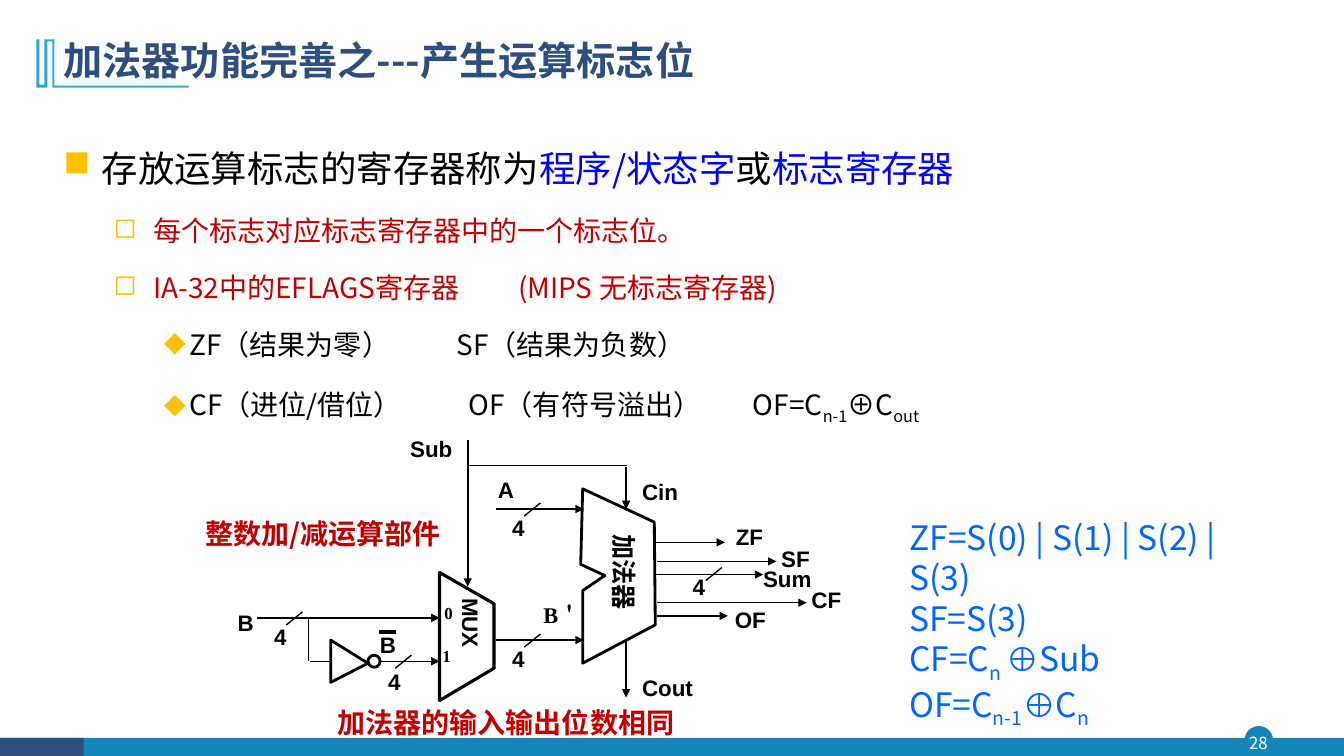
import pptx
import pptx.util
import pptx.oxml
import pptx.oxml.ns
from pptx.dml.color import RGBColor
from pptx.enum.shapes import MSO_CONNECTOR, MSO_SHAPE
from pptx.enum.text import MSO_ANCHOR, MSO_AUTO_SIZE, PP_ALIGN

BLACK = RGBColor(0x00, 0x00, 0x00)
WHITE = RGBColor(0xFF, 0xFF, 0xFF)
NAVY = RGBColor(0x2E, 0x4E, 0x7E)
TEAL = RGBColor(0x13, 0x87, 0xB7)
SKY = RGBColor(0x28, 0xA9, 0xD6)
RED = RGBColor(0xC0, 0x00, 0x00)
BLUE = RGBColor(0x00, 0x00, 0xFF)
FORMULA_BLUE = RGBColor(0x00, 0x66, 0xFF)
BULLET_COLOR = "FFC000"
CJK, SANS, SERIF = "Noto Sans CJK SC", "Arial", "Times New Roman"


def length(inches):
    return pptx.util.Cm(inches * 2.54)


def add_xml(parent, tag, **attributes):
    child = pptx.oxml.parse_xml(f'<a:{tag} {pptx.oxml.ns.nsdecls("a")}/>')
    for key, value in attributes.items():
        child.set(key, str(value))
    parent.append(child)
    return child


class Page:
    """Style and drawing methods for one slide; coordinates are in inches."""

    def __init__(self, slide):
        self.slide = slide
        self.shapes = slide.shapes

    def run(self, paragraph, text, size, color, font=CJK, bold=False, sub=False):
        run = paragraph.add_run()
        run.text = text
        run.font.size = pptx.util.Pt(size)
        run.font.bold = bold
        run.font.name = font
        run.font.color.rgb = color
        properties = run.font._element
        add_xml(properties, "ea", typeface=CJK if font == SANS else font)
        if sub:
            properties.set("baseline", "-25000")

    def place(self, shape, box):
        shape.left, shape.top, shape.width, shape.height = map(length, box)

    def title(self, text, box):
        title = self.shapes.title
        self.place(title, box)
        frame = title.text_frame
        frame.auto_size = MSO_AUTO_SIZE.NONE
        frame.vertical_anchor = MSO_ANCHOR.MIDDLE
        paragraph = frame.paragraphs[0]
        paragraph.alignment = PP_ALIGN.LEFT
        paragraph.line_spacing = 0.9
        self.run(paragraph, text, 28, NAVY, bold=True)

    def text_frame(self, box, wrap=True, rotation=0):
        holder = self.shapes.add_textbox(*map(length, box))
        holder.rotation = rotation
        holder.text_frame.word_wrap = wrap
        if not wrap:
            holder.text_frame.auto_size = MSO_AUTO_SIZE.SHAPE_TO_FIT_TEXT
        return holder.text_frame

    def label(self, text, box, size=16, color=BLACK, font=SANS, wrap=False, rotation=0):
        paragraph = self.text_frame(box, wrap, rotation).paragraphs[0]
        self.run(paragraph, text, size, color, font, bold=True)
        return paragraph

    def bullet(self, paragraph, level, mark, indent, hanging, tabs=()):
        paragraph.level = level
        properties = paragraph._p.get_or_add_pPr()
        properties.set("marL", str(length(indent)))
        properties.set("indent", str(-length(hanging)))
        add_xml(add_xml(properties, "buClr"), "srgbClr", val=BULLET_COLOR)
        add_xml(properties, "buChar", char=mark)
        if tabs:
            stops = add_xml(properties, "tabLst")
            for stop in tabs:
                add_xml(stops, "tab", pos=length(stop), algn="l")
        paragraph.alignment = PP_ALIGN.JUSTIFY
        paragraph.line_spacing = 1.5

    def paint(self, shape, fill=None, line=None, width=1):
        shape.shadow.inherit = False
        if fill is None:
            shape.fill.background()
        else:
            shape.fill.solid()
            shape.fill.fore_color.rgb = fill
        if line is None:
            shape.line.fill.background()
        else:
            shape.line.color.rgb = line
            shape.line.width = pptx.util.Pt(width)

    def preset(self, kind, box, **paint):
        self.paint(self.shapes.add_shape(kind, *map(length, box)), **paint)

    def outline(self, points, **paint):
        start, *rest = [(length(x), length(y)) for x, y in points]
        builder = self.shapes.build_freeform(*start)
        builder.add_line_segments(rest, close=True)
        self.paint(builder.convert_to_shape(), **paint)

    def line(self, x1, y1, x2, y2, arrow=False, width=1):
        wire = self.shapes.add_connector(
            MSO_CONNECTOR.STRAIGHT, *map(length, (x1, y1, x2, y2)))
        wire.line.color.rgb = BLACK
        wire.line.width = pptx.util.Pt(width)
        if arrow:
            add_xml(wire.line._get_or_add_ln(), "tailEnd", type="triangle")
        add_xml(wire._element.spPr, "effectLst")


def draw_frame(page):
    page.preset(MSO_SHAPE.OVAL, (12.35, 7.21, 0.27, 0.27), fill=TEAL, line=TEAL)
    page.preset(MSO_SHAPE.RECTANGLE, (0.01, 7.32, 13.32, 0.19), fill=TEAL)
    page.preset(MSO_SHAPE.RECTANGLE, (0, 7.32, 0.83, 0.19), fill=NAVY)
    number = page.text_frame((12.32, 7.21, 0.32, 0.31))
    number.margin_left = number.margin_right = number.margin_top = number.margin_bottom = 0
    number.vertical_anchor = MSO_ANCHOR.MIDDLE
    number.paragraphs[0].alignment = PP_ALIGN.CENTER
    page.run(number.paragraphs[0], "28", 12, WHITE)
    page.outline([(0.54, 0.39), (0.54, 0.85), (1.87, 0.85), (1.87, 0.87), (0.52, 0.87),
                  (0.52, 0.41), (0.47, 0.41), (0.47, 0.87), (0.36, 0.87), (0.36, 0.39),
                  (0.39, 0.39), (0.39, 0.84), (0.44, 0.84), (0.44, 0.39)], fill=SKY)
    page.title("加法器功能完善之---产生运算标志位", (0.53, 0.28, 11.5, 0.68))


def draw_points(page):
    top, flag, detail = (0, "■", 0.38, 0.38), (1, "◻", 0.89, 0.39), (2, "◆", 1.25, 0.25)
    points = [
        (top, (), 26, [("存放运算标志的寄存器称为", BLACK), ("程序/状态字", BLUE),
                       ("或", BLACK), ("标志寄存器", BLUE)]),
        (flag, (), 20, [("每个标志对应标志寄存器中的一个标志位。", RED)]),
        (flag, (4.51,), 20, [("IA-32中的EFLAGS寄存器\t(MIPS 无标志寄存器)", RED)]),
        (detail, (3.9,), 20, [("ZF（结果为零）\tSF（结果为负数）", BLACK)]),
        (detail, (4.02, 6.84), 20, [
            ("CF（进位/借位）\tOF（有符号溢出）\tOF=C", BLACK), ("n-1", BLACK, True),
            ("⊕C", BLACK), ("out", BLACK, True)]),
    ]
    frame = page.text_frame((0.53, 1.18, 11.5, 3.1))
    for index, (style, tabs, size, runs) in enumerate(points):
        paragraph = frame.add_paragraph() if index else frame.paragraphs[0]
        page.bullet(paragraph, *style, tabs)
        if index:
            paragraph.space_before = pptx.util.Pt(5)
        for text, color, *sub in runs:
            page.run(paragraph, text, size, color, sub=bool(sub))


def draw_circuit(page):
    adder = [(5.78, 4.85), (6.49, 5.18), (6.5, 6.2), (5.78, 6.58),
             (5.78, 5.86), (6, 5.71), (5.76, 5.6)]
    mux = [(4.36, 6.95), (4.9, 6.63), (4.9, 5.99), (4.36, 5.68)]
    page.outline(adder, line=BLACK, width=2)
    page.outline(mux, line=BLACK, width=2.25)
    page.outline([(3.28, 6.35), (3.65, 6.58), (3.28, 6.77)], line=BLACK, width=2)
    page.preset(MSO_SHAPE.OVAL, (3.65, 6.5, 0.12, 0.12), line=BLACK, width=2)

    arrows = [
        (4.92, 5.05, 5.79, 5.05), (4.92, 6.35, 5.79, 6.35),
        (2.55, 6.13, 4.36, 6.13), (3.77, 6.56, 4.36, 6.56),
        (4.64, 4.37, 4.64, 5.82), (6.21, 4.63, 6.21, 5.05), (6.21, 6.36, 6.21, 6.92),
        (6.49, 5.38, 7.19, 5.38), (6.52, 5.57, 7.7, 5.57), (6.51, 5.7, 7.57, 5.7),
        (6.52, 5.98, 8, 5.98), (6.52, 6.11, 7.22, 6.11)]
    for arrow in arrows:
        page.line(*arrow, arrow=True)
    for branch in [(4.63, 4.62, 6.22, 4.62), (3.06, 6.14, 3.06, 6.56), (3.07, 6.56, 3.27, 6.56)]:
        page.line(*branch)
    for x, y in [(5.2, 5.12), (5.2, 6.42), (7, 5.76), (2.84, 6.2), (3.92, 6.63)]:
        page.line(x, y, x + 0.16, y - 0.13)
    page.line(3.76, 6.27, 3.93, 6.27, width=2.25)

    signals = [("Sub", 3.97, 4.27, 0.62), ("A", 4.84, 4.67, 0.36), ("Cin", 6.27, 4.69, 0.56),
               ("Cout", 6.27, 6.64, 0.71), ("ZF", 7.2, 5.14, 0.47), ("SF", 7.65, 5.36, 0.59),
               ("Sum", 7.47, 5.56, 0.69), ("CF", 7.95, 5.77, 0.6), ("OF", 7.19, 5.96, 0.51),
               ("B", 2.26, 5.99, 0.36), ("B", 3.67, 6.21, 0.36)]
    widths = [("4", x, y, 0.32) for x, y in
              [(4.98, 5.05), (4.98, 6.35), (2.62, 6.13), (3.75, 6.58)]]
    for text, x, y, width in signals + widths:
        page.label(text, (x, y, width, 0.37), wrap=text in ("SF", "CF"))
    page.label("4", (6.77, 5.7, 0.32, 0.3)).line_spacing = 0.75
    page.label("0", (4.31, 5.93, 0.28, 0.3), size=12, font=SERIF)
    page.label("1", (4.29, 6.36, 0.28, 0.3), size=12, font=SERIF)
    page.label("B＇", (5.29, 5.91, 0.68, 0.37), font=SERIF, wrap=True)
    page.label("加法器", (5.66, 5.54, 1.07, 0.4), size=18, wrap=True, rotation=90)
    page.label("MUX", (4.26, 6.06, 0.82, 0.37), wrap=True, rotation=90)
    page.label("整数加/减运算部件", (1.94, 5.08, 2.61, 0.43), 20, RED, CJK, wrap=True)
    page.label("加法器的输入输出位数相同", (3.25, 6.95, 3.9, 0.43), 20, RED, CJK, wrap=True)


def draw_formulas(page):
    formulas = [["ZF=S(0) | S(1) | S(2) | S(3)"], ["SF=S(3)"],
                ["CF=C", "n ", "⊕", "Sub"], ["OF=C", "n-1", "⊕", "C", "n"]]
    frame = page.text_frame((8.92, 5.08, 3.86, 2.02))
    for index, parts in enumerate(formulas):
        paragraph = frame.add_paragraph() if index else frame.paragraphs[0]
        for part in parts:
            page.run(paragraph, part, 24, FORMULA_BLUE,
                     SANS if part == "⊕" else CJK, sub=part.startswith("n"))


def main():
    deck = pptx.Presentation()
    deck.slide_width, deck.slide_height = length(13.33), length(7.5)
    page = Page(deck.slides.add_slide(deck.slide_layouts[5]))
    draw_frame(page)
    draw_points(page)
    draw_circuit(page)
    draw_formulas(page)
    deck.save("out.pptx")


if __name__ == "__main__":
    main()
